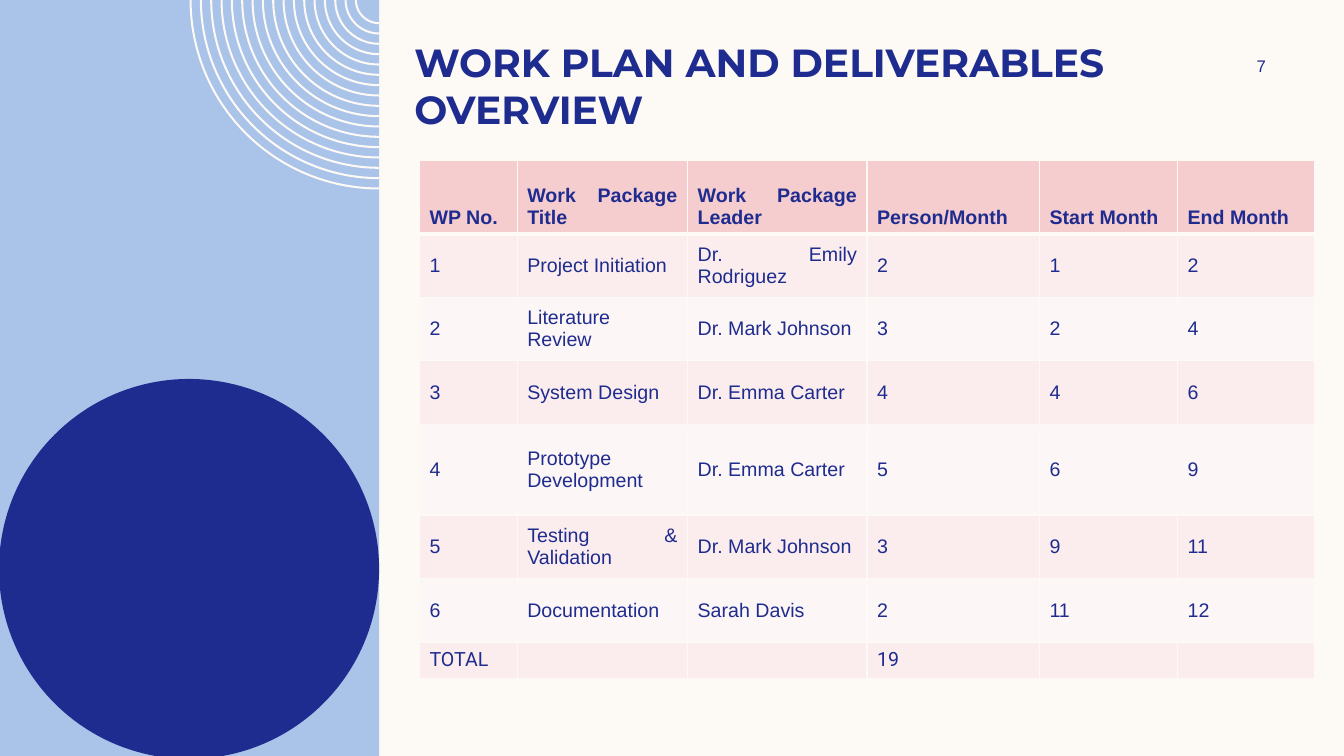
from dataclasses import dataclass

from lxml.etree import Element, SubElement
from pptx import Presentation
from pptx.dml.color import RGBColor
from pptx.enum.shapes import MSO_SHAPE as Preset
from pptx.enum.text import MSO_ANCHOR as Anchor, MSO_AUTO_SIZE as AutoSize, PP_ALIGN as Align
from pptx.oxml.ns import qn
from pptx.util import Inches, Pt

CREAM, NAVY, SKY = "FDFAF6", "1F2C8F", "AAC3E8"
HEADER_PINK, BAND_DARK, BAND_LIGHT = "F5CDCE", "FBEDED", "FDF6F6"

PANEL_LEFT, PANEL_RIGHT = -0.01, 3.76
RING_COUNT, RING_THICKNESS = 17, 0.02
RING_MIN, RING_MAX = 0.24, 1.88
QUARTER_TURN = 90 * 60000

COLUMN_WIDTHS = [0.97, 1.69, 1.78, 1.71, 1.37, 1.36]
ROW_HEIGHTS = [0.73, 0.63, 0.63, 0.63, 0.9, 0.63, 0.63, 0.36]
HEADINGS = ["WP No.", "Work Package Title", "Work Package Leader",
            "Person/Month", "Start Month", "End Month"]


@dataclass(frozen=True)
class WorkPackage:
    title: str
    leader: str
    effort: int
    start: int
    end: int


@dataclass(frozen=True)
class RowStyle:
    fill: str
    anchor: Anchor = Anchor.MIDDLE
    font: str = "Arial"
    bold: bool = False
    top_line: int = 1
    bottom_line: int = 1


PACKAGES = [
    WorkPackage("Project Initiation", "Dr. Emily Rodriguez", 2, 1, 2),
    WorkPackage("Literature Review", "Dr. Mark Johnson", 3, 2, 4),
    WorkPackage("System Design", "Dr. Emma Carter", 4, 4, 6),
    WorkPackage("Prototype Development", "Dr. Emma Carter", 5, 6, 9),
    WorkPackage("Testing & Validation", "Dr. Mark Johnson", 3, 9, 11),
    WorkPackage("Documentation", "Sarah Davis", 2, 11, 12),
]


def rgb(value: str) -> RGBColor:
    return RGBColor.from_string(value)


def box(left: float, top: float, width: float, height: float) -> tuple:
    return Inches(left), Inches(top), Inches(width), Inches(height)


def add_run(paragraph, text: str, size: int, font: str = "Arial", bold: bool = False) -> None:
    run = paragraph.add_run()
    run.text = text
    run.font.size = Pt(size)
    run.font.name = font
    run.font.bold = bold
    run.font.color.rgb = rgb(NAVY)


def paint(shape, color: str) -> None:
    shape.shadow.inherit = False
    shape.fill.solid()
    shape.fill.fore_color.rgb = rgb(color)
    shape.line.fill.background()


def bend(segment, radius: float, start: int, sweep: int) -> None:
    """Turn a straight freeform segment into a circular arc."""
    size = str(Inches(radius))
    arc = Element(qn("a:arcTo"), wR=size, hR=size, stAng=str(start), swAng=str(sweep))
    segment.getparent().replace(segment, arc)


def add_rings(slide) -> None:
    step = (RING_MAX - RING_MIN) / (RING_COUNT - 1)
    radii = [RING_MAX - index * step for index in range(RING_COUNT)]
    right = Inches(PANEL_RIGHT)
    builder = slide.shapes.build_freeform(Inches(PANEL_RIGHT - RING_MAX), 0)
    for radius in radii:
        outer, inner = Inches(radius), Inches(radius - RING_THICKNESS)
        if radius != RING_MAX:
            builder.move_to(right - outer, 0)
        builder.add_line_segments([(right, outer), (right, inner), (right - inner, 0)])
    rings = builder.convert_to_shape()
    segments = list(rings._element.iter(qn("a:lnTo")))
    per_ring = len(segments) // RING_COUNT
    for index, radius in enumerate(radii):
        first = index * per_ring
        bend(segments[first], radius, 2 * QUARTER_TURN, -QUARTER_TURN)
        bend(segments[first + 2], radius - RING_THICKNESS, QUARTER_TURN, QUARTER_TURN)
    paint(rings, CREAM)


def add_side_panel(slide) -> None:
    width = PANEL_RIGHT - PANEL_LEFT
    panel = slide.shapes.add_shape(Preset.RECTANGLE, *box(PANEL_LEFT, 0, width, 7.53))
    paint(panel, SKY)
    add_rings(slide)
    disc = slide.shapes.add_shape(Preset.OVAL, *box(PANEL_LEFT, 3.76, width, width))
    paint(disc, NAVY)


def add_heading(slide) -> None:
    title = slide.shapes.title
    title.left, title.top, title.width, title.height = box(4.01, 0.33, 8.93, 0.84)
    frame = title.text_frame
    frame.word_wrap = True
    frame.auto_size = AutoSize.NONE
    frame.vertical_anchor = Anchor.TOP
    frame.paragraphs[0].alignment = Align.LEFT
    add_run(frame.paragraphs[0], "WORK PLAN AND DELIVERABLES OVERVIEW", 28, "Montserrat", True)


def add_page_number(slide) -> None:
    frame = slide.shapes.add_textbox(*box(11.97, 0.5, 1.08, 0.3)).text_frame
    frame.word_wrap = True
    frame.vertical_anchor = Anchor.MIDDLE
    frame.paragraphs[0].alignment = Align.CENTER
    add_run(frame.paragraphs[0], "7", 12)


def set_borders(cell, style: RowStyle) -> None:
    properties = cell._tc.get_or_add_tcPr()
    widths = {"a:lnL": 1, "a:lnR": 1, "a:lnT": style.top_line, "a:lnB": style.bottom_line}
    for tag, width in widths.items():
        line = SubElement(properties, qn(tag), w=str(Pt(width)))
        SubElement(SubElement(line, qn("a:solidFill")), qn("a:srgbClr"), val=CREAM)


def fill_cell(cell, text: str, style: RowStyle) -> None:
    set_borders(cell, style)
    cell.fill.solid()
    cell.fill.fore_color.rgb = rgb(style.fill)
    cell.vertical_anchor = style.anchor
    paragraph = cell.text_frame.paragraphs[0]
    paragraph.alignment = Align.JUSTIFY
    if text:
        add_run(paragraph, text, 14, style.font, style.bold)
    else:
        SubElement(paragraph._p, qn("a:endParaRPr"), sz="1400")


def plan_rows() -> list[tuple[list[str], RowStyle]]:
    rows = [(HEADINGS, RowStyle(HEADER_PINK, Anchor.BOTTOM, bold=True, bottom_line=3))]
    for number, package in enumerate(PACKAGES, 1):
        values = [number, package.title, package.leader,
                  package.effort, package.start, package.end]
        band = BAND_DARK if number % 2 else BAND_LIGHT
        style = RowStyle(band, top_line=3 if number == 1 else 1)
        rows.append(([str(value) for value in values], style))
    total = sum(package.effort for package in PACKAGES)
    rows.append((["TOTAL", "", "", str(total), "", ""], RowStyle(BAND_DARK, font="Roboto")))
    return rows


def add_plan_table(slide) -> None:
    frame = slide.shapes.add_table(len(ROW_HEIGHTS), len(COLUMN_WIDTHS),
                                   *box(4.16, 1.59, sum(COLUMN_WIDTHS), sum(ROW_HEIGHTS)))
    table = frame.table
    table.horz_banding = False
    for column, width in zip(table.columns, COLUMN_WIDTHS):
        column.width = Inches(width)
    for row, height, (texts, style) in zip(table.rows, ROW_HEIGHTS, plan_rows()):
        row.height = Inches(height)
        for cell, text in zip(row.cells, texts):
            fill_cell(cell, text, style)


def main() -> None:
    deck = Presentation()
    deck.slide_width, deck.slide_height = Inches(13.33), Inches(7.5)
    slide = deck.slides.add_slide(deck.slide_layouts[5])
    slide.background.fill.solid()
    slide.background.fill.fore_color.rgb = rgb(CREAM)
    add_side_panel(slide)
    add_heading(slide)
    add_page_number(slide)
    add_plan_table(slide)
    deck.save("out.pptx")


if __name__ == "__main__":
    main()
